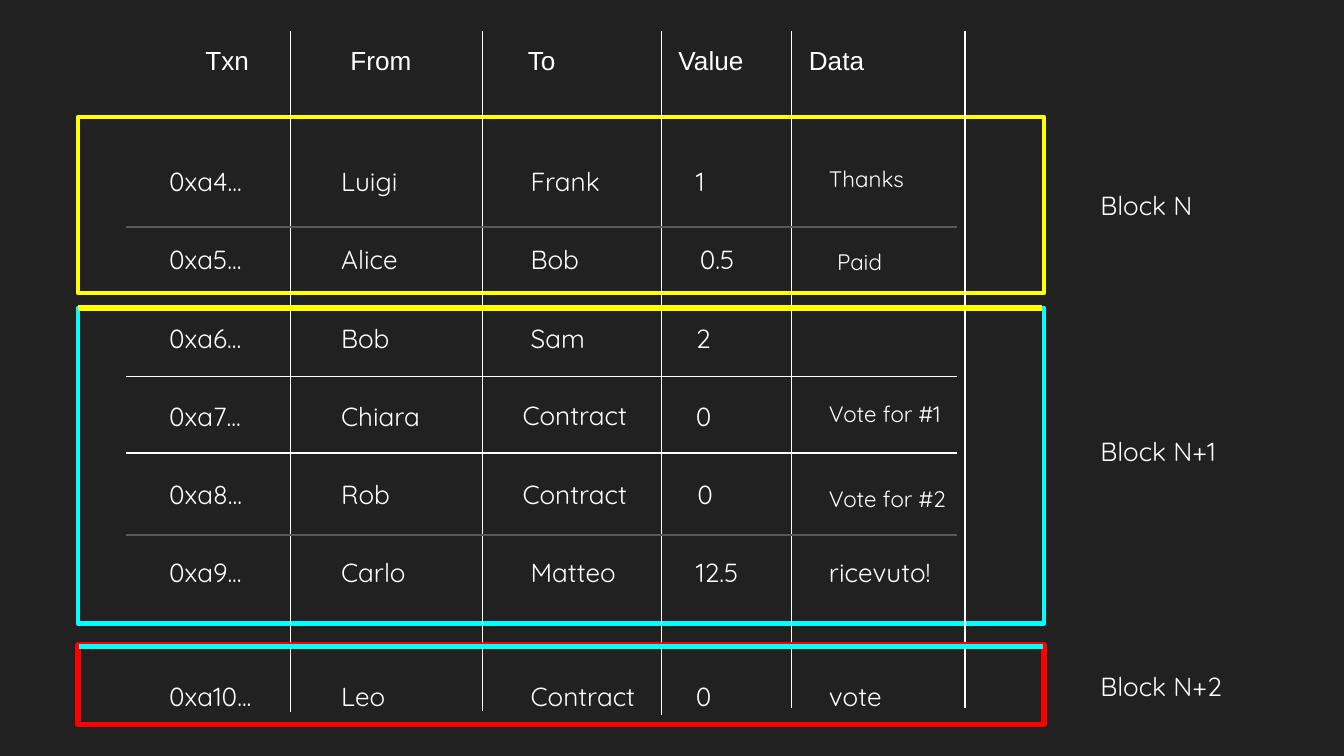
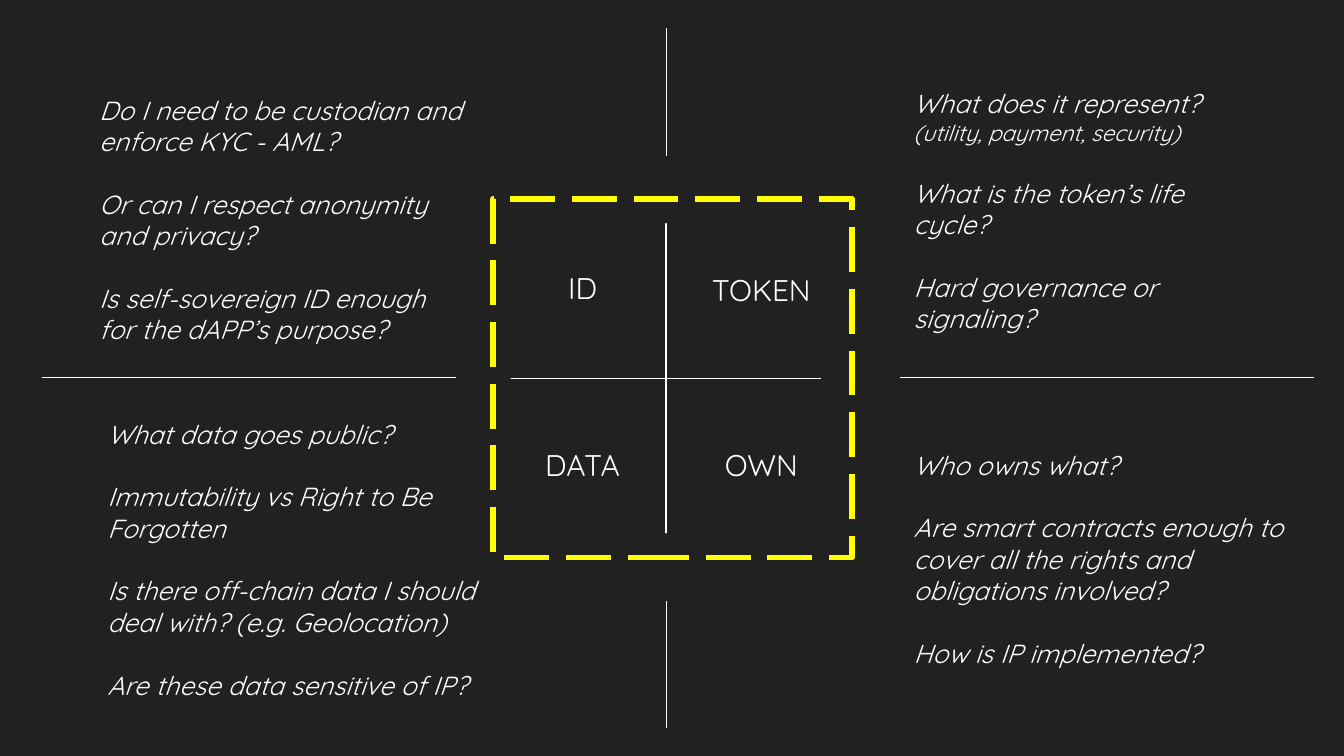
"""Build two dark slides: a ledger grouped into blocks, and a matrix of token design questions."""
from dataclasses import dataclass

from lxml import etree
from pptx import Presentation
from pptx.dml.color import RGBColor
from pptx.enum.dml import MSO_LINE
from pptx.enum.shapes import MSO_CONNECTOR, MSO_SHAPE
from pptx.enum.text import MSO_ANCHOR, MSO_AUTO_SIZE, PP_ALIGN
from pptx.oxml.ns import qn
from pptx.util import Inches, Pt

STRAIGHT = MSO_CONNECTOR.STRAIGHT
RECTANGLE = MSO_SHAPE.RECTANGLE
PLUS = MSO_SHAPE.MATH_PLUS
LONG_DASH = MSO_LINE.LONG_DASH
TOP, MIDDLE = MSO_ANCHOR.TOP, MSO_ANCHOR.MIDDLE
LEFT, CENTER = PP_ALIGN.LEFT, PP_ALIGN.CENTER
NO_FIT, FIT_SHAPE = MSO_AUTO_SIZE.NONE, MSO_AUTO_SIZE.SHAPE_TO_FIT_TEXT


@dataclass(frozen=True)
class Theme:
    background: str = "212121"
    text: str = "FFFFFF"
    faint: str = "595959"
    plus: str = "ADADAD"
    yellow: str = "FFFF00"
    cyan: str = "00FFFF"
    red: str = "FF0000"
    font: str = "Quicksand"
    header_font: str = "Arial"
    label: float = 16
    body: float = 14
    small: float = 12
    question_gap: float = 16.8
    thin: float = 0.75
    medium: float = 2.25
    thick: float = 3
    inset: float = 0.1


THEME = Theme()

HEADERS = ("Txn", "From", "To", "Value", "Data")
HEADER_TABS = (1.08, 2.4, 3.52, 4.49)
COLUMNS = ((1.16, 1), (2.44, 1.07), (3.85, 1.16), (5.08, 0.7), (6.07, 1.37))
COLUMN_RULES = ((2.16, 5.3), (3.59, 5.29), (4.92, 5.32), (5.89, 5.27), (7.18, 5.27))
ROW_RULES = ((1.69, THEME.faint), (2.8, THEME.text), (3.37, THEME.text), (3.98, THEME.faint))
FIRST_ROW, ROW_PITCH, LAST_ROW = 1.13, 0.583, 4.96
SMALL_DATA_ROWS = 5
TRANSACTIONS = (
    ("0xa4...", "Luigi", "Frank", "1", "Thanks"),
    ("0xa5...", "Alice", "Bob", "0.5", "Paid"),
    ("0xa6...", "Bob", "Sam", "2", ""),
    ("0xa7...", "Chiara", "Contract", "0", "Vote for #1"),
    ("0xa8...", "Rob", "Contract", "0", "Vote for #2"),
    ("0xa9...", "Carlo", "Matteo", "12.5", "ricevuto!"),
    ("0xa10...", "Leo", "Contract", "0", "vote"),
)
CELL_SHIFTS = {
    (1, 3): (0.03, 0), (1, 4): (0.06, 0.04), (3, 2): (-0.06, -0.01),
    (4, 2): (-0.06, 0), (4, 3): (0.01, 0), (4, 4): (0, 0.05),
}
BLOCK_LABELS = (("Block N", 1.31), ("Block N+1", 3.14), ("Block N+2", 4.89))

QUADRANTS = (("ID", 3.67, 1.48, 1.32), ("TOKEN", 5, 1.48, 1.35),
             ("DATA", 3.67, 2.8, 1.32), ("OWN", 5, 2.8, 1.32))
TOKEN_NOTE = "(utility, payment, security)"
QUESTIONS = (
    ((0.64, 0.6, 3.33, 2.09), (
        "Do I need to be custodian and enforce KYC - AML?",
        "Or can I respect anonymity\vand privacy?",
        "Is self-sovereign ID enough\vfor the dAPP’s purpose?"), ""),
    ((0.7, 3.01, 3.13, 2.32), (
        "What data goes public?",
        "Immutability vs Right to Be Forgotten",
        "Is there off-chain data I should deal with? (e.g. Geolocation)",
        "Are these data sensitive of IP?"), ""),
    ((6.7, 0.55, 2.75, 2.05), (
        "What does it represent? ",
        "What is the token’s life cycle?",
        "Hard governance or signaling?"), TOKEN_NOTE),
    ((6.7, 3.24, 3.44, 1.85), (
        "Who owns what?",
        "Are smart contracts enough to cover all the rights and \vobligations involved?",
        "How is IP implemented?"), ""),
)
AXES = ((0.31, 2.81, 3.39, 2.81), (6.7, 2.81, 9.78, 2.81),
        (4.96, 1.16, 4.96, 0.21), (4.96, 5.42, 4.96, 4.47))


def color(value):
    return RGBColor.from_string(value)


def add_slide(presentation):
    slide = presentation.slides.add_slide(presentation.slide_layouts[6])
    fill = slide.background.fill
    fill.solid()
    fill.fore_color.rgb = color(THEME.background)
    return slide


def style_line(line, line_color, width):
    line.color.rgb = color(line_color)
    line.width = Pt(width)


def add_outline(slide, box, line_color, width, kind=RECTANGLE):
    shape = slide.shapes.add_shape(kind, *map(Inches, box))
    shape.shadow.inherit = False
    shape.fill.background()
    style_line(shape.line, line_color, width)
    return shape


def add_rule(slide, ends, line_color=THEME.text, width=THEME.thin):
    connector = slide.shapes.add_connector(STRAIGHT, *map(Inches, ends))
    style_line(connector.line, line_color, width)
    etree.SubElement(connector._element.spPr, qn("a:effectLst"))


def style_run(run, size, font, italic):
    run.font.size = Pt(size)
    run.font.name = font
    run.font.italic = italic
    run.font.color.rgb = color(THEME.text)


def add_text(slide, box, text, size=THEME.body, font=THEME.font, italic=None,
             anchor=TOP, alignment=LEFT, fit=NO_FIT, tabs=(), note=""):
    text_frame = slide.shapes.add_textbox(*map(Inches, box)).text_frame
    text_frame.word_wrap = True
    text_frame.auto_size = fit
    text_frame.vertical_anchor = anchor
    text_frame.margin_left = text_frame.margin_right = Inches(THEME.inset)
    text_frame.margin_top = text_frame.margin_bottom = Inches(THEME.inset)
    text_frame.text = text
    for index, paragraph in enumerate(text_frame.paragraphs):
        paragraph.alignment = alignment
        if index:
            paragraph.space_before = Pt(THEME.question_gap)
        if tabs:
            add_tabs(paragraph, tabs)
        for run in paragraph.runs:
            style_run(run, size, font, italic)
    if note:
        run = text_frame.paragraphs[0].add_run()
        run.text = note
        style_run(run, THEME.small, font, italic)


def add_tabs(paragraph, positions):
    tab_list = etree.SubElement(paragraph._p.get_or_add_pPr(), qn("a:tabLst"))
    for position in positions:
        etree.SubElement(tab_list, qn("a:tab"), pos=str(Inches(position)), algn="l")


def add_transactions(slide):
    last = len(TRANSACTIONS) - 1
    for row, transaction in enumerate(TRANSACTIONS):
        top = LAST_ROW if row == last else round(FIRST_ROW + row * ROW_PITCH, 2)
        for column, (text, (left, width)) in enumerate(zip(transaction, COLUMNS)):
            if not text:
                continue
            right_shift, down_shift = CELL_SHIFTS.get((row, column), (0, 0))
            small = column == len(COLUMNS) - 1 and row < SMALL_DATA_ROWS
            add_text(slide, (left + right_shift, top + down_shift, width, 0.43), text,
                     THEME.small if small else THEME.body)


def build_ledger(presentation):
    slide = add_slide(presentation)
    add_outline(slide, (0.58, 0.87, 7.19, 1.31), THEME.yellow, THEME.medium)
    add_outline(slide, (0.58, 2.29, 7.19, 2.35), THEME.cyan, THEME.medium)
    add_text(slide, (1.43, 0.23, 8.34, 0.97), "\t".join(HEADERS),
             font=THEME.header_font, tabs=HEADER_TABS)
    for left, bottom in COLUMN_RULES:
        add_rule(slide, (left, 0.23, left, bottom))
    for top, line_color in ROW_RULES:
        add_rule(slide, (0.94, top, 7.12, top), line_color)
    add_rule(slide, (0.58, 2.29, 7.75, 2.29), THEME.yellow, THEME.thick)
    add_outline(slide, (0.58, 4.8, 7.19, 0.59), THEME.red, THEME.thick)
    add_rule(slide, (0.59, 4.81, 7.76, 4.81), THEME.cyan, THEME.thick)
    add_transactions(slide)
    for label, top in BLOCK_LABELS:
        add_text(slide, (8.09, top, 1.26, 0.64), label)


def build_matrix(presentation):
    slide = add_slide(presentation)
    frame = add_outline(slide, (3.67, 1.48, 2.67, 2.67), THEME.yellow, THEME.thick)
    frame.line.dash_style = LONG_DASH
    for label, left, top, height in QUADRANTS:
        add_text(slide, (left, top, 1.33, height), label, THEME.label,
                 anchor=MIDDLE, alignment=CENTER)
    for box, questions, note in QUESTIONS:
        add_text(slide, box, "\n".join(questions), italic=True, fit=FIT_SHAPE, note=note)
    plus = add_outline(slide, (3.39, 1.25, 3.13, 3.13), THEME.text, THEME.thin, PLUS)
    plus.adjustments[0] = 0
    plus.fill.solid()
    plus.fill.fore_color.rgb = color(THEME.plus)
    for ends in AXES:
        add_rule(slide, ends)


def main():
    presentation = Presentation()
    presentation.slide_width = Inches(10)
    presentation.slide_height = Inches(10) * 9 // 16
    build_ledger(presentation)
    build_matrix(presentation)
    presentation.save("out.pptx")


if __name__ == "__main__":
    main()
